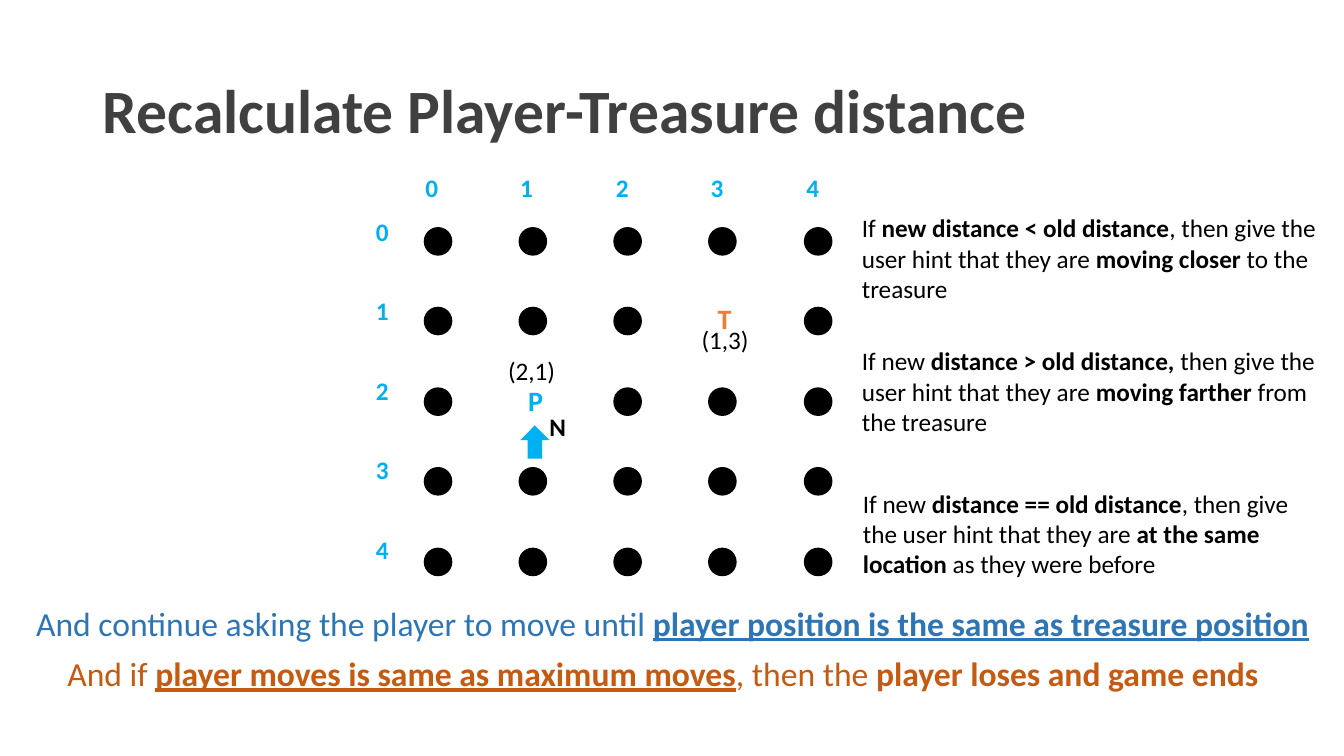
from dataclasses import dataclass

import pptx
import pptx.dml.color
import pptx.enum.shapes
import pptx.enum.text
import pptx.util
from pptx.enum.shapes import MSO_SHAPE

EMU_PER_PX = 9144  # 100 px to the inch
GRID_SIZE = 5


@dataclass(frozen=True)
class Theme:
    font: str = "Calibri"
    heading: str = "404040"
    ink: str = "000000"
    player: str = "00B0F0"
    treasure: str = "ED7D31"
    win: str = "2E75B6"
    lose: str = "C55A11"
    title_size: int = 44
    closing_size: int = 24
    marker_size: int = 20
    text_size: int = 18


@dataclass(frozen=True)
class Box:
    left: int
    top: int
    width: int
    height: int

    def emu(self) -> tuple[int, ...]:
        return tuple(
            px * EMU_PER_PX for px in (self.left, self.top, self.width, self.height)
        )


@dataclass(frozen=True)
class Piece:
    text: str
    bold: bool = False
    underline: bool = False


@dataclass(frozen=True)
class Label:
    box: Box
    pieces: tuple[Piece, ...]
    color: str
    size: int
    wrap: bool = False


@dataclass(frozen=True)
class Axis:
    first: int
    span: int

    def at(self, index: int) -> int:
        return self.first + self.span * index // (GRID_SIZE - 1)


THEME = Theme()

# Grid geometry
DOT_COLUMNS, DOT_ROWS = Axis(421, 377), Axis(226, 318)
COLUMN_NUMBERS, ROW_NUMBERS = Axis(412, 378), Axis(210, 315)
DOT_SIZE = 27
PLAYER_CELL, TREASURE_CELL = (2, 1), (1, 3)


def rgb(color: str) -> pptx.dml.color.RGBColor:
    return pptx.dml.color.RGBColor.from_string(color)


def add_pieces(paragraph, pieces: tuple[Piece, ...], color: str, size: int) -> None:
    for piece in pieces:
        run = paragraph.add_run()
        run.text = piece.text
        run.font.name = THEME.font
        run.font.size = pptx.util.Pt(size)
        run.font.color.rgb = rgb(color)
        run.font.bold = piece.bold
        run.font.underline = piece.underline


def draw_label(slide, label: Label) -> None:
    frame = slide.shapes.add_textbox(*label.box.emu()).text_frame
    frame.word_wrap = label.wrap
    frame.auto_size = pptx.enum.text.MSO_AUTO_SIZE.SHAPE_TO_FIT_TEXT
    add_pieces(frame.paragraphs[0], label.pieces, label.color, label.size)


def draw_shape(slide, kind: MSO_SHAPE, box: Box, color: str, outlined: bool,
               rotation: int = 0) -> None:
    shape = slide.shapes.add_shape(kind, *box.emu())
    shape.shadow.inherit = False
    shape.rotation = rotation
    shape.fill.solid()
    shape.fill.fore_color.rgb = rgb(color)
    if outlined:
        shape.line.color.rgb = rgb(color)
        shape.line.width = pptx.util.Pt(1)
    else:
        shape.line.fill.background()


def draw_title(slide, text: str) -> None:
    title = slide.shapes.title
    title.left, title.top, title.width, title.height = Box(92, 40, 1150, 145).emu()
    frame = title.text_frame
    frame.auto_size = pptx.enum.text.MSO_AUTO_SIZE.NONE
    frame.vertical_anchor = pptx.enum.text.MSO_ANCHOR.MIDDLE
    paragraph = frame.paragraphs[0]
    paragraph.alignment = pptx.enum.text.PP_ALIGN.LEFT
    paragraph.line_spacing = 0.9
    add_pieces(paragraph, (Piece(text, bold=True),), THEME.heading, THEME.title_size)


def draw_grid(slide) -> None:
    for row in range(GRID_SIZE):
        for column in range(GRID_SIZE):
            if (row, column) not in (PLAYER_CELL, TREASURE_CELL):
                dot = Box(DOT_COLUMNS.at(column), DOT_ROWS.at(row), DOT_SIZE, DOT_SIZE)
                draw_shape(slide, MSO_SHAPE.OVAL, dot, THEME.ink, outlined=True)
    corners = [(COLUMN_NUMBERS.at(i), 166, i) for i in range(GRID_SIZE)]
    corners += [(363, ROW_NUMBERS.at(i), i) for i in range(GRID_SIZE)]
    for left, top, number in corners:
        draw_label(slide, Label(Box(left, top, 33, 40), (Piece(str(number), bold=True),),
                                THEME.player, THEME.text_size))


# Markers on the grid
MARKERS = (
    Label(Box(702, 294, 35, 44), (Piece("T", bold=True),),
          THEME.treasure, THEME.marker_size),
    Label(Box(686, 317, 68, 40), (Piece("(1,3)"),), THEME.ink, THEME.text_size),
    Label(Box(514, 376, 35, 44), (Piece("P", bold=True),),
          THEME.player, THEME.marker_size),
    Label(Box(535, 403, 36, 40), (Piece("N", bold=True),), THEME.ink, THEME.text_size),
    Label(Box(494, 348, 68, 40), (Piece("(2,1)"),), THEME.ink, THEME.text_size),
)

# Rules for the hints
HINTS = (
    Label(Box(845, 206, 470, 131), (
        Piece("If "), Piece("new distance < old distance", bold=True),
        Piece(", then give the user hint that they are "),
        Piece("moving closer ", bold=True), Piece("to the treasure"),
    ), THEME.ink, THEME.text_size, wrap=True),
    Label(Box(845, 338, 470, 131), (
        Piece("If new "), Piece("distance > old distance, ", bold=True),
        Piece("then give the user hint that they are "),
        Piece("moving farther ", bold=True), Piece("from the treasure"),
    ), THEME.ink, THEME.text_size, wrap=True),
    Label(Box(846, 479, 470, 101), (
        Piece("If new "), Piece("distance == old distance", bold=True),
        Piece(", then give the user hint that they are "),
        Piece("at the same location", bold=True), Piece(" as they were before"),
    ), THEME.ink, THEME.text_size, wrap=True),
)

# How the game ends
ENDINGS = (
    Label(Box(26, 593, 1284, 50), (
        Piece("And continue asking the player to move until "),
        Piece("player position is the same as treasure position",
              bold=True, underline=True),
    ), THEME.win, THEME.closing_size),
    Label(Box(57, 643, 1205, 50), (
        Piece("And if "),
        Piece("player moves is same as maximum moves", bold=True, underline=True),
        Piece(", then the "), Piece("player loses and game ends", bold=True),
    ), THEME.lose, THEME.closing_size),
)


def main() -> None:
    deck = pptx.Presentation()
    deck.slide_width, deck.slide_height = 1333 * EMU_PER_PX, 750 * EMU_PER_PX
    slide = deck.slides.add_slide(deck.slide_layouts.get_by_name("Title Only"))

    draw_title(slide, "Recalculate Player-Treasure distance")
    draw_grid(slide)
    draw_shape(slide, MSO_SHAPE.RIGHT_ARROW, Box(514, 424, 33, 29), THEME.player,
               outlined=False, rotation=270)
    for label in MARKERS + HINTS + ENDINGS:
        draw_label(slide, label)

    deck.save("out.pptx")


if __name__ == "__main__":
    main()
